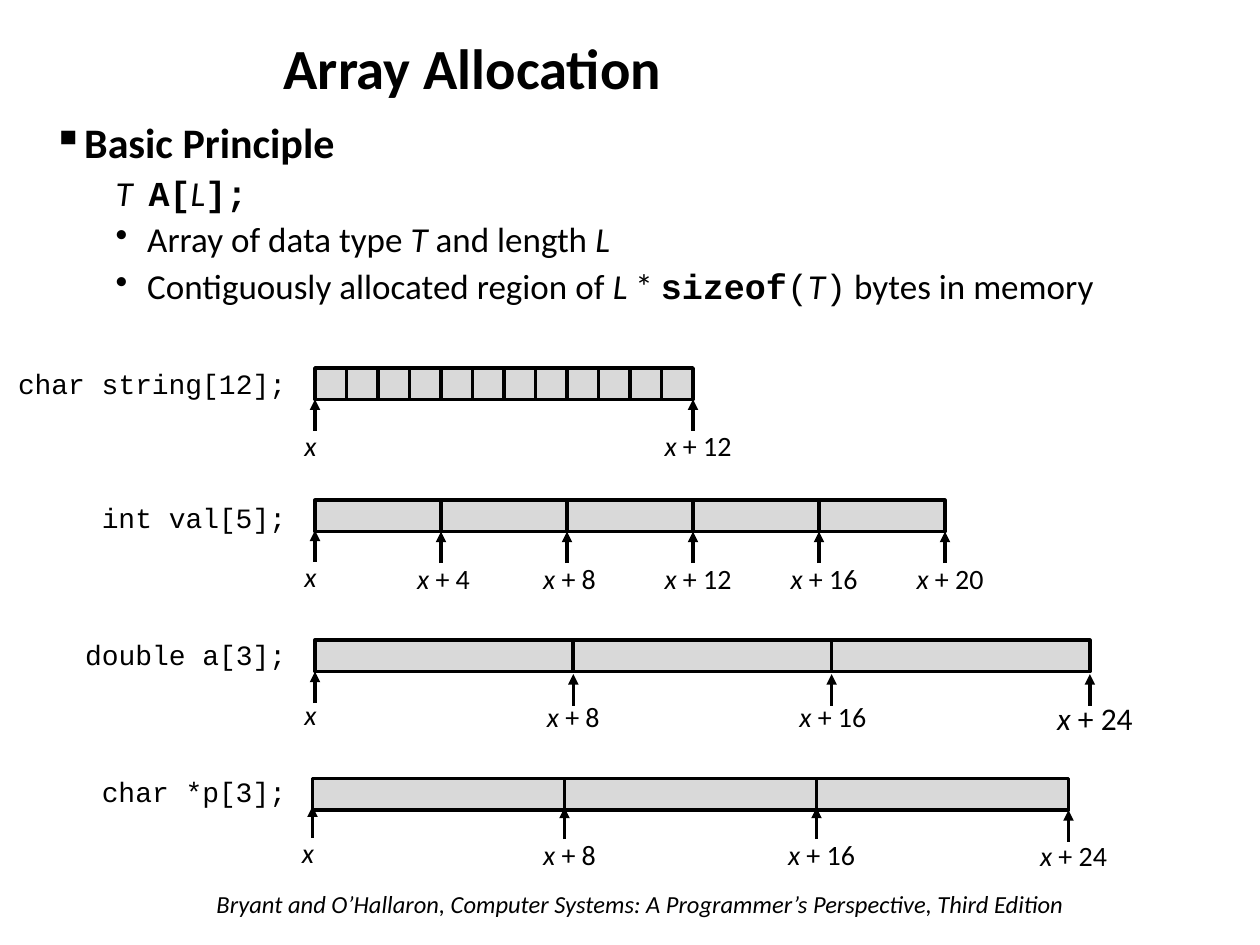
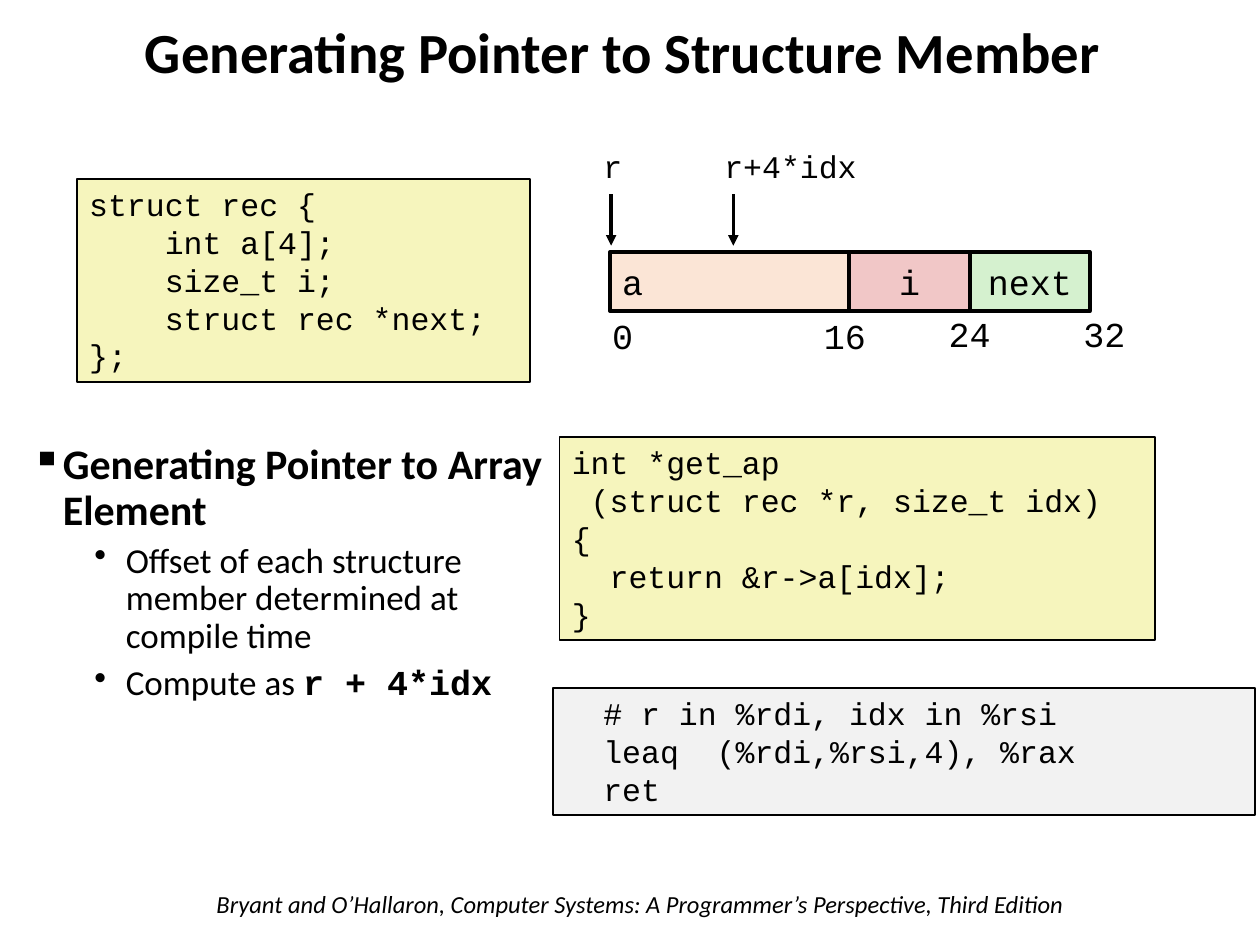
import itertools
from typing import NamedTuple

import lxml.etree
import pptx
import pptx.dml.color
import pptx.enum.shapes
import pptx.enum.text
import pptx.oxml.ns
import pptx.presentation
import pptx.shapes.base
import pptx.slide
import pptx.text.text
import pptx.util

PX = 9144

BLACK = pptx.dml.color.RGBColor(0x00, 0x00, 0x00)
CELL_GREY = pptx.dml.color.RGBColor(0xD9, 0xD9, 0xD9)
ASSEMBLY_GREY = pptx.dml.color.RGBColor(0xF2, 0xF2, 0xF2)
CODE_YELLOW = pptx.dml.color.RGBColor(0xF6, 0xF5, 0xBD)
ARRAY_PEACH = pptx.dml.color.RGBColor(0xFB, 0xE5, 0xD6)
INDEX_PINK = pptx.dml.color.RGBColor(0xF1, 0xC7, 0xC7)
NEXT_GREEN = pptx.dml.color.RGBColor(0xD5, 0xF1, 0xCF)

SANS = "Calibri"
MONO = "Courier New"
CITATION = "Bryant and O’Hallaron, Computer Systems: A Programmer’s Perspective, Third Edition"

ALIGN = pptx.enum.text.PP_ALIGN
ANCHOR = pptx.enum.text.MSO_ANCHOR


class Box(NamedTuple):
    left: int
    top: int
    width: int
    height: int


class Run(NamedTuple):
    text: str
    font: str = SANS
    bold: bool = False
    italic: bool = False


class Point(NamedTuple):
    runs: list[Run]
    level: int = 1
    bullet: str = "•"


class Mark(NamedTuple):
    element: int
    label_left: int
    label_top: int
    arrow_top: int
    size: int = 16


class ArrayRow(NamedTuple):
    declaration: str
    declaration_top: int
    left: int
    top: int
    cell_width: int
    length: int
    element_bytes: int
    marks: list[Mark]


class Listing(NamedTuple):
    box: Box
    fill: pptx.dml.color.RGBColor
    code: str


class Field(NamedTuple):
    name: str
    width: int
    fill: pptx.dml.color.RGBColor
    align: ALIGN


class Caption(NamedTuple):
    text: str
    box: Box
    size: int


ARRAY_ROWS = [
    ArrayRow("char string[12];", 286, 250, 292, 25, 12, 1, [
        Mark(0, 225, 335, 317), Mark(12, 500, 335, 317)]),
    ArrayRow("int val[5];", 392, 250, 397, 100, 5, 4, [
        Mark(0, 225, 439, 421), Mark(1, 298, 441, 422), Mark(2, 398, 441, 422),
        Mark(3, 500, 441, 422), Mark(4, 600, 441, 422), Mark(5, 700, 441, 422)]),
    ArrayRow("double a[3];", 501, 250, 508, 205, 3, 8, [
        Mark(0, 225, 549, 533), Mark(1, 401, 550, 535), Mark(2, 607, 550, 535),
        Mark(3, 815, 550, 535, 18)]),
    ArrayRow("char *p[3];", 610, 248, 618, 200, 3, 8, [
        Mark(0, 223, 658, 640), Mark(1, 398, 660, 641), Mark(2, 598, 660, 641),
        Mark(3, 798, 661, 643)]),
]

LISTINGS = [
    Listing(Box(439, 546, 557, 101), ASSEMBLY_GREY,
            "  # r in %rdi, idx in %rsi\n  leaq  (%rdi,%rsi,4), %rax\n  ret"),
    Listing(Box(444, 347, 473, 161), CODE_YELLOW,
            "int *get_ap\n (struct rec *r, size_t idx)\n{\n  return &r->a[idx];\n}"),
    Listing(Box(61, 142, 360, 161), CODE_YELLOW,
            "struct rec {\n    int a[4];\n    size_t i;\n    struct rec *next;\n};"),
]

STRUCT_LEFT = 484
STRUCT_FIELDS = [
    Field("a", 190, ARRAY_PEACH, ALIGN.LEFT),
    Field("i", 96, INDEX_PINK, ALIGN.CENTER),
    Field("next", 95, NEXT_GREEN, ALIGN.CENTER),
]
POINTER_XS = [485, 582]
STRUCT_CAPTIONS = [
    Caption("r", Box(469, 112, 40, 50), 18),
    Caption("r+4*idx", Box(565, 112, 162, 50), 18),
    Caption("0", Box(476, 245, 36, 43), 20),
    Caption("16", Box(644, 245, 54, 43), 20),
    Caption("24", Box(743, 243, 54, 43), 20),
    Caption("32", Box(850, 243, 54, 43), 20),
]

ALLOCATION_POINTS = [
    Point([Run("Basic Principle", bold=True)], 0, "▪"),
    Point([Run("T  ", italic=True), Run("A[", MONO, bold=True), Run("L", italic=True),
           Run("];", MONO, bold=True)], bullet=""),
    Point([Run("Array of data type "), Run("T", italic=True), Run(" and length "),
           Run("L", italic=True)]),
    Point([Run("Contiguously allocated region of "), Run("L", italic=True), Run(" * "),
           Run("sizeof", MONO, bold=True), Run("(", MONO), Run("T", italic=True),
           Run(")", MONO), Run(" bytes in memory")]),
]
POINTER_POINTS = [
    Point([Run("Generating Pointer to Array Element", bold=True)], 0, "▪"),
    Point([Run("Offset of each structure member determined at compile time")]),
    Point([Run("Compute as "), Run("r + 4*idx", MONO, bold=True)]),
]


def emu(box: Box) -> list[int]:
    return [length * PX for length in box]


def write(paragraph: pptx.text.text._Paragraph, runs: list[Run], *, size: float,
          align: ALIGN = ALIGN.LEFT, spacing: float | None = None, before: int = 0) -> None:
    paragraph.alignment = align
    if spacing:
        paragraph.line_spacing = spacing
    if before:
        paragraph.space_before = pptx.util.Pt(before)
    for part in runs:
        run = paragraph.add_run()
        run.text = part.text
        run.font.name = part.font
        run.font.size = pptx.util.Pt(size)
        run.font.bold = part.bold
        run.font.italic = part.italic
        run.font.color.rgb = BLACK


def add_frame(slide: pptx.slide.Slide, box: Box, wrap: bool = True) -> pptx.text.text.TextFrame:
    frame = slide.shapes.add_textbox(*emu(box)).text_frame
    frame.word_wrap = wrap
    return frame


def add_rectangle(slide: pptx.slide.Slide, box: Box, fill: pptx.dml.color.RGBColor,
                  line_width: int) -> pptx.text.text.TextFrame:
    rectangle = slide.shapes.add_shape(
        pptx.enum.shapes.MSO_SHAPE.RECTANGLE, *emu(box))
    rectangle.shadow.inherit = False
    rectangle.fill.solid()
    rectangle.fill.fore_color.rgb = fill
    rectangle.line.color.rgb = BLACK
    rectangle.line.width = pptx.util.Pt(line_width)
    rectangle.text_frame.word_wrap = True
    return rectangle.text_frame


def add_arrow(slide: pptx.slide.Slide, x: int, start: int, end: int) -> None:
    arrow = slide.shapes.add_connector(
        pptx.enum.shapes.MSO_CONNECTOR.STRAIGHT, x * PX, start * PX, x * PX, end * PX)
    arrow.line.color.rgb = BLACK
    arrow.line.width = pptx.util.Pt(2)
    lxml.etree.SubElement(
        arrow.line._get_or_add_ln(), pptx.oxml.ns.qn("a:tailEnd"), type="triangle")
    lxml.etree.SubElement(arrow._element.spPr, pptx.oxml.ns.qn("a:effectLst"))


def add_points(slide: pptx.slide.Slide, box: Box, points: list[Point]) -> None:
    frame = add_frame(slide, box)
    for position, point in enumerate(points):
        paragraph = frame.add_paragraph() if position else frame.paragraphs[0]
        paragraph.level = point.level
        properties = paragraph._p.get_or_add_pPr()
        properties.set("marL", str((75 if point.level else 25) * PX))
        properties.set("indent", str(-25 * PX))
        if point.bullet:
            lxml.etree.SubElement(
                properties, pptx.oxml.ns.qn("a:buChar"), char=point.bullet)
        write(paragraph, point.runs, size=20 if point.level else 24, spacing=0.9,
              before=5 if position else 0)


def add_base(deck: pptx.presentation.Presentation, title: str, title_box: Box) -> pptx.slide.Slide:
    slide = deck.slides.add_slide(deck.slide_layouts[6])
    citation = add_frame(slide, Box(162, 701, 710, 34))
    write(citation.paragraphs[0], [Run(CITATION, italic=True)], size=14)
    heading = add_frame(slide, title_box)
    heading.vertical_anchor = ANCHOR.MIDDLE
    write(heading.paragraphs[0], [Run(title, bold=True)], size=32.4,
          align=ALIGN.CENTER, spacing=0.9)
    return slide


def add_array_row(slide: pptx.slide.Slide, row: ArrayRow) -> None:
    width = round(len(row.declaration) * 13.33) + 20
    declaration = add_frame(
        slide, Box(237 - width, row.declaration_top, width, 37), wrap=False)
    write(declaration.paragraphs[0], [Run(row.declaration, MONO)], size=16, align=ALIGN.RIGHT)
    for cell in range(row.length):
        add_rectangle(slide, Box(row.left + cell * row.cell_width, row.top,
                                 row.cell_width, 25), CELL_GREY, 2)
    for mark in row.marks:
        add_arrow(slide, row.left + mark.element * row.cell_width,
                  mark.arrow_top + 25, mark.arrow_top)
        address = [Run("x", italic=True)]
        if mark.element:
            address = [Run("x ", italic=True), Run(f"+ {mark.element * row.element_bytes}")]
        label = add_frame(slide, Box(mark.label_left, mark.label_top,
                                     108 if mark.element else 43, 37))
        write(label.paragraphs[0], address, size=mark.size, align=ALIGN.CENTER)


def add_listing(slide: pptx.slide.Slide, listing: Listing) -> None:
    frame = add_rectangle(slide, listing.box, listing.fill, 1)
    frame.vertical_anchor = ANCHOR.TOP
    for position, line in enumerate(listing.code.split("\n")):
        paragraph = frame.add_paragraph() if position else frame.paragraphs[0]
        write(paragraph, [Run(line, MONO)], size=18)


def add_struct(slide: pptx.slide.Slide) -> None:
    lefts = itertools.accumulate((field.width for field in STRUCT_FIELDS), initial=STRUCT_LEFT)
    for field, left in zip(STRUCT_FIELDS, lefts):
        frame = add_rectangle(slide, Box(left, 200, field.width, 47), field.fill, 2)
        frame.vertical_anchor = ANCHOR.MIDDLE
        write(frame.paragraphs[0], [Run(field.name, MONO)], size=20, align=field.align)
    for x in POINTER_XS:
        add_arrow(slide, x, 154, 195)
    for caption in STRUCT_CAPTIONS:
        frame = add_frame(slide, caption.box, wrap=False)
        write(frame.paragraphs[0], [Run(caption.text, MONO)], size=caption.size)


def main() -> None:
    deck = pptx.Presentation()
    deck.slide_width = 1000 * PX
    deck.slide_height = 750 * PX

    allocation = add_base(deck, "Array Allocation", Box(50, 25, 650, 63))
    add_points(allocation, Box(32, 92, 909, 177), ALLOCATION_POINTS)
    for row in ARRAY_ROWS:
        add_array_row(allocation, row)

    pointer = add_base(deck, "Generating Pointer to Structure Member", Box(40, 12, 908, 63))
    for listing in LISTINGS:
        add_listing(pointer, listing)
    add_points(pointer, Box(15, 347, 429, 313), POINTER_POINTS)
    add_struct(pointer)

    deck.save("out.pptx")


if __name__ == "__main__":
    main()
